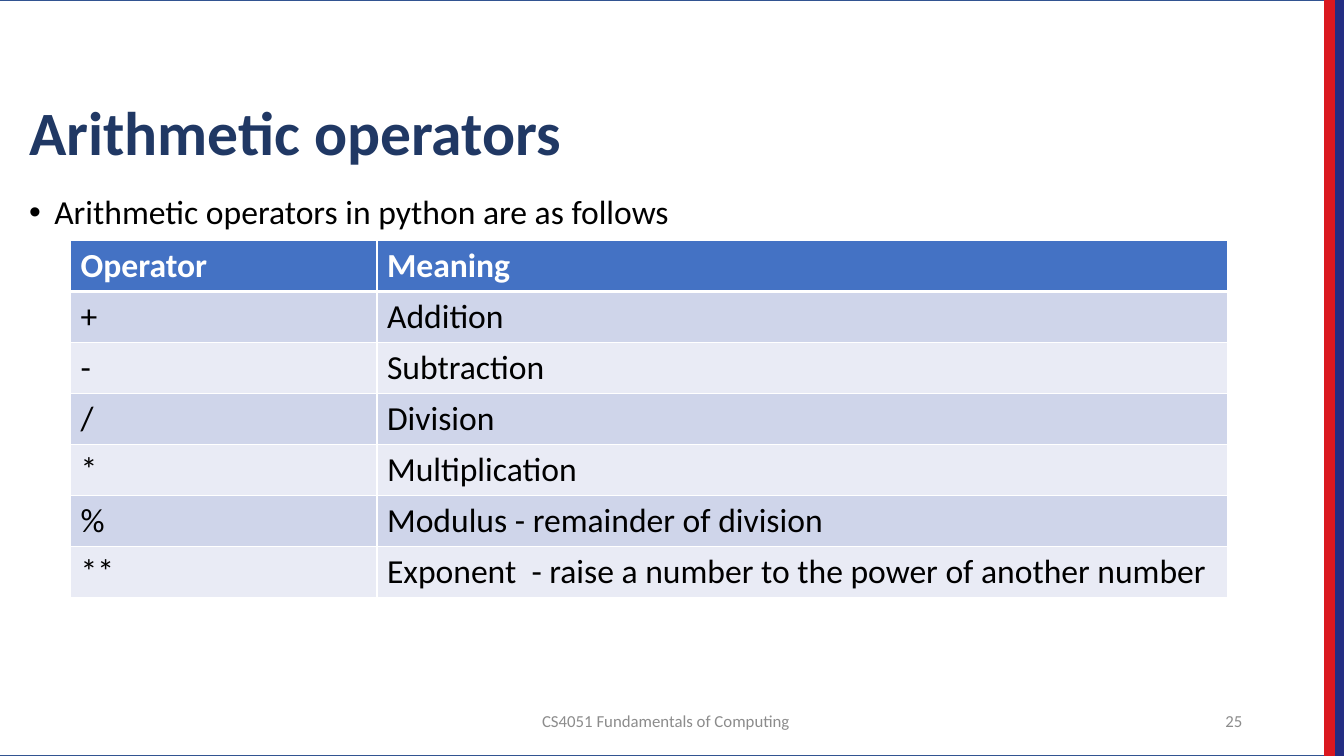
from dataclasses import dataclass

from lxml import etree
from pptx import Presentation
from pptx.dml.color import RGBColor
from pptx.enum.shapes import MSO_SHAPE
from pptx.enum.text import MSO_ANCHOR, PP_ALIGN
from pptx.oxml.ns import qn
from pptx.util import Inches, Pt

RECT = MSO_SHAPE.RECTANGLE
TOP, MIDDLE, BOTTOM = MSO_ANCHOR.TOP, MSO_ANCHOR.MIDDLE, MSO_ANCHOR.BOTTOM
LEFT, CENTER, RIGHT, JUSTIFY = (
    PP_ALIGN.LEFT, PP_ALIGN.CENTER, PP_ALIGN.RIGHT, PP_ALIGN.JUSTIFY)

SLIDE_W, SLIDE_H = Inches(13.33), Inches(7.5)


@dataclass(frozen=True)
class Theme:
    font: str = "Calibri"
    title: str = "203864"
    text: str = "000000"
    muted: str = "8C8C8C"
    white: str = "FFFFFF"
    frame: str = "325491"
    blue: str = "232D82"
    red: str = "DA1820"
    header: str = "4472C4"
    bands: tuple = ("CFD5EA", "E9EBF5")
    title_size: int = 44
    body_size: int = 24
    footer_size: int = 12


THEME = Theme()

OPERATORS = [
    ("Operator", "Meaning"),
    ("+", "Addition"),
    ("-", "Subtraction"),
    ("/", "Division"),
    ("*", "Multiplication"),
    ("%", "Modulus - remainder of division"),
    ("**", "Exponent  - raise a number to the power of another number"),
]


def across(share):
    """Percent of the slide width."""
    return int(SLIDE_W * share / 100)


def down(share):
    """Percent of the slide height."""
    return int(SLIDE_H * share / 100)


def place(x, y, w, h):
    return across(x), down(y), across(w), down(h)


def write(tf, text, size=THEME.body_size, color=THEME.text, bold=False,
          align=LEFT, spacing=None, before=None):
    p = tf.paragraphs[0]
    p.alignment = align
    p.line_spacing = spacing
    p.space_before = before
    r = p.add_run()
    r.text = text
    r.font.name = THEME.font
    r.font.size = Pt(size)
    r.font.bold = bold
    r.font.color.rgb = RGBColor.from_string(color)
    return p


def add_text(s, area, text, anchor=TOP, **fmt):
    tf = s.shapes.add_textbox(*place(*area)).text_frame
    tf.word_wrap = True
    tf.vertical_anchor = anchor
    return write(tf, text, **fmt)


def add_bullet(p, indent=Inches(0.25)):
    pPr = p._p.get_or_add_pPr()
    pPr.set("marL", str(indent))
    pPr.set("indent", str(-indent))
    etree.SubElement(pPr, qn("a:buFont"), typeface="Arial")
    etree.SubElement(pPr, qn("a:buChar"), char="•")


def add_panel(s, area, fill, line):
    sp = s.shapes.add_shape(RECT, *place(*area))
    sp.shadow.inherit = False
    sp.fill.solid()
    sp.fill.fore_color.rgb = RGBColor.from_string(fill)
    sp.line.color.rgb = RGBColor.from_string(line)
    sp.line.width = Pt(1)


def set_borders(cell, top, bottom):
    tcPr = cell._tc.get_or_add_tcPr()
    sides = (("L", 1), ("R", 1), ("T", top), ("B", bottom))
    for i, (side, width) in enumerate(sides):
        ln = etree.Element(qn(f"a:ln{side}"), w=str(Pt(width)))
        fill = etree.SubElement(ln, qn("a:solidFill"))
        etree.SubElement(fill, qn("a:srgbClr"), val=THEME.white)
        tcPr.insert(i, ln)


def add_operator_table(s, x, y, col_shares, row_share, rows):
    area = place(x, y, sum(col_shares), row_share * len(rows))
    table = s.shapes.add_table(len(rows), len(col_shares), *area).table
    for column, share in zip(table.columns, col_shares):
        column.width = across(share)
    for i, row in enumerate(rows):
        is_header = i == 0
        table.rows[i].height = down(row_share)
        fill = THEME.header if is_header else THEME.bands[(i - 1) % 2]
        for j, text in enumerate(row):
            cell = table.cell(i, j)
            cell.fill.solid()
            cell.fill.fore_color.rgb = RGBColor.from_string(fill)
            write(cell.text_frame, text, bold=is_header,
                  color=THEME.white if is_header else THEME.text)
            # A thicker rule divides the header from the body
            set_borders(cell, top=3 if i == 1 else 1,
                        bottom=3 if is_header else 1)


def main():
    prs = Presentation()
    prs.slide_width, prs.slide_height = SLIDE_W, SLIDE_H
    s = prs.slides.add_slide(prs.slide_layouts[6])

    # Framed background and the two stripes at the right edge
    stripe = 0.7
    add_panel(s, (-stripe, 0, 100 - stripe, 100), THEME.white, THEME.frame)
    for n, color in enumerate((THEME.blue, THEME.red), start=1):
        add_panel(s, (100 - n * stripe, 0, stripe, 100), color, color)

    # Title and introduction
    margin, width = 1.43, 91.7
    add_text(s, (margin, 3.6, width, 19.33), "Arithmetic operators",
             anchor=BOTTOM, size=THEME.title_size, color=THEME.title,
             bold=True, spacing=0.9)
    intro = add_text(s, (margin, 25.2, width, 65.47),
                     "Arithmetic operators in python are as follows",
                     align=JUSTIFY, spacing=0.9, before=Pt(10))
    add_bullet(intro)

    # Operators and their meanings
    add_operator_table(s, 5.25, 31.8, (22.8, 63.3), 6.75, OPERATORS)

    # Footer and page number
    footer = dict(anchor=MIDDLE, size=THEME.footer_size, color=THEME.muted)
    add_text(s, (26.03, 92.67, 47.04, 5.33),
             "CS4051 Fundamentals of Computing", align=CENTER, **footer)
    add_text(s, (87.55, 92.67, 5.63, 5.33), "25", align=RIGHT, **footer)

    prs.save("out.pptx")


if __name__ == "__main__":
    main()
